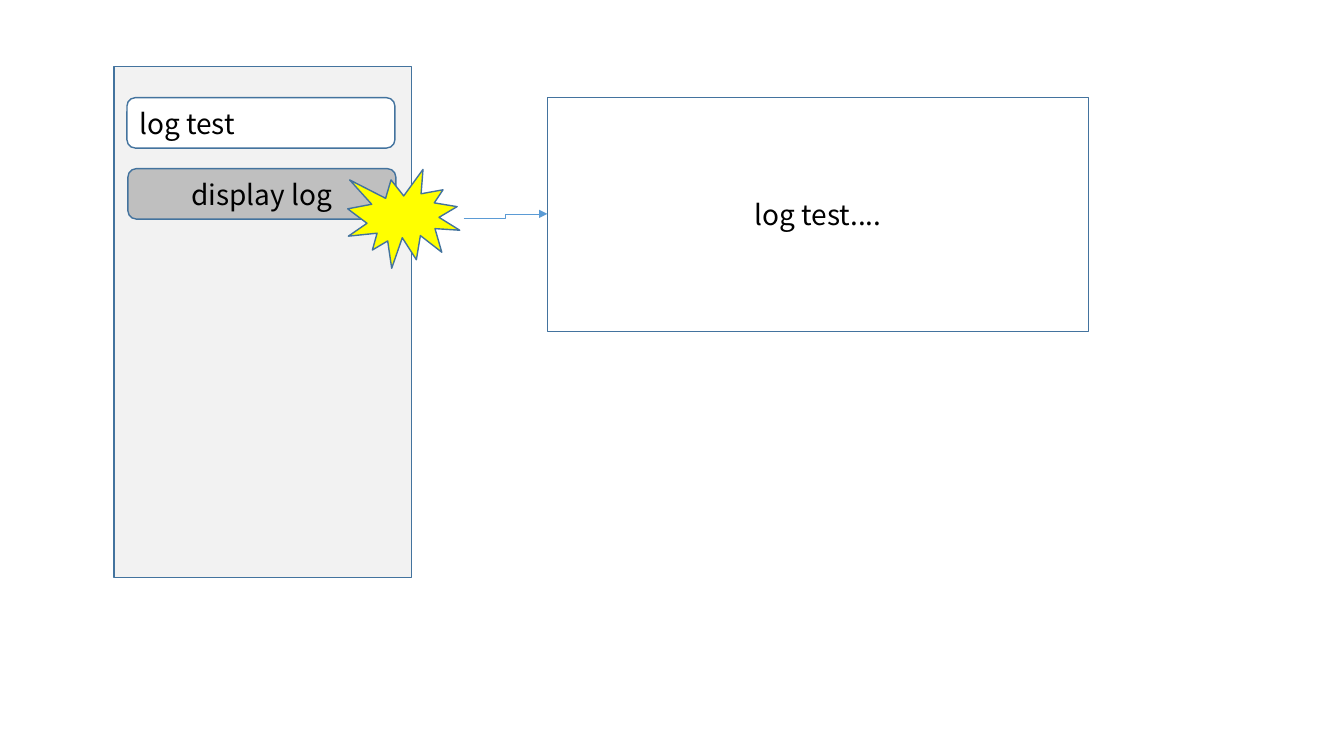
from lxml import etree
from pptx import Presentation
from pptx.dml.color import RGBColor
from pptx.enum import shapes as kinds, text
from pptx.oxml import ns
from pptx.util import Pt

FONT = "Noto Sans CJK KR"
BLACK = RGBColor(0x00, 0x00, 0x00)
WHITE = RGBColor(0xFF, 0xFF, 0xFF)
PANEL_GRAY = RGBColor(0xF2, 0xF2, 0xF2)
BUTTON_GRAY = RGBColor(0xBF, 0xBF, 0xBF)
YELLOW = RGBColor(0xFF, 0xFF, 0x00)
OUTLINE = RGBColor(0x43, 0x73, 0x9E)
ARROW_BLUE = RGBColor(0x5B, 0x9B, 0xD5)

SHAPE = kinds.MSO_SHAPE
LEFT, CENTER = text.PP_ALIGN.LEFT, text.PP_ALIGN.CENTER


def add_box(slide, kind, box, fill, label="", alignment=CENTER):
    shape = slide.shapes.add_shape(kind, *map(Pt, box))
    shape.shadow.inherit = False
    shape.fill.solid()
    shape.fill.fore_color.rgb = fill
    shape.line.color.rgb = OUTLINE
    shape.line.width = Pt(1)
    if label:
        frame = shape.text_frame
        frame.text = label
        frame.vertical_anchor = text.MSO_ANCHOR.MIDDLE
        paragraph = frame.paragraphs[0]
        paragraph.alignment = alignment
        font = paragraph.runs[0].font
        font.name = FONT
        font.size = Pt(20)
        font.color.rgb = BLACK


def add_form_panel(slide, box):
    left, top, width, height = box
    control_width, control_height = width - 21, 36
    add_box(slide, SHAPE.RECTANGLE, box, PANEL_GRAY)
    add_box(slide, SHAPE.ROUNDED_RECTANGLE,
            (left + 9.3, top + 22.3, control_width, control_height),
            WHITE, "log test", LEFT)
    add_box(slide, SHAPE.ROUNDED_RECTANGLE,
            (left + 10, top + 73, control_width, control_height),
            BUTTON_GRAY, "display log")


def add_log_output(slide, box):
    add_box(slide, SHAPE.RECTANGLE, box, WHITE, "log test....")


def add_click_burst(slide, box):
    add_box(slide, SHAPE.EXPLOSION1, box, YELLOW)


def add_click_arrow(slide, burst_box, output_box):
    burst_left, burst_top, burst_width, burst_height = burst_box
    output_left, output_top, _, output_height = output_box
    arrow = slide.shapes.add_connector(
        kinds.MSO_CONNECTOR.ELBOW,
        Pt(burst_left + burst_width + 2.8), Pt(burst_top + burst_height / 2),
        Pt(output_left), Pt(output_top + output_height / 2 - 0.5))
    arrow.line.color.rgb = ARROW_BLUE
    arrow.line.width = Pt(0.5)
    line = arrow.line._get_or_add_ln()
    etree.SubElement(line, ns.qn("a:tailEnd"), type="triangle")
    etree.SubElement(arrow._element.spPr, ns.qn("a:effectLst"))


def build_log_slide(presentation):
    slide = presentation.slides.add_slide(presentation.slide_layouts[6])
    output_box = (391, 69.8, 386.6, 167)
    burst_box = (248.4, 121, 80, 70.6)
    add_form_panel(slide, (81.4, 47.5, 212.4, 365))
    add_log_output(slide, output_box)
    add_click_burst(slide, burst_box)
    add_click_arrow(slide, burst_box, output_box)


def main():
    presentation = Presentation()
    presentation.slide_width = Pt(960)
    presentation.slide_height = Pt(540)
    build_log_slide(presentation)
    presentation.save("out.pptx")


if __name__ == "__main__":
    main()
